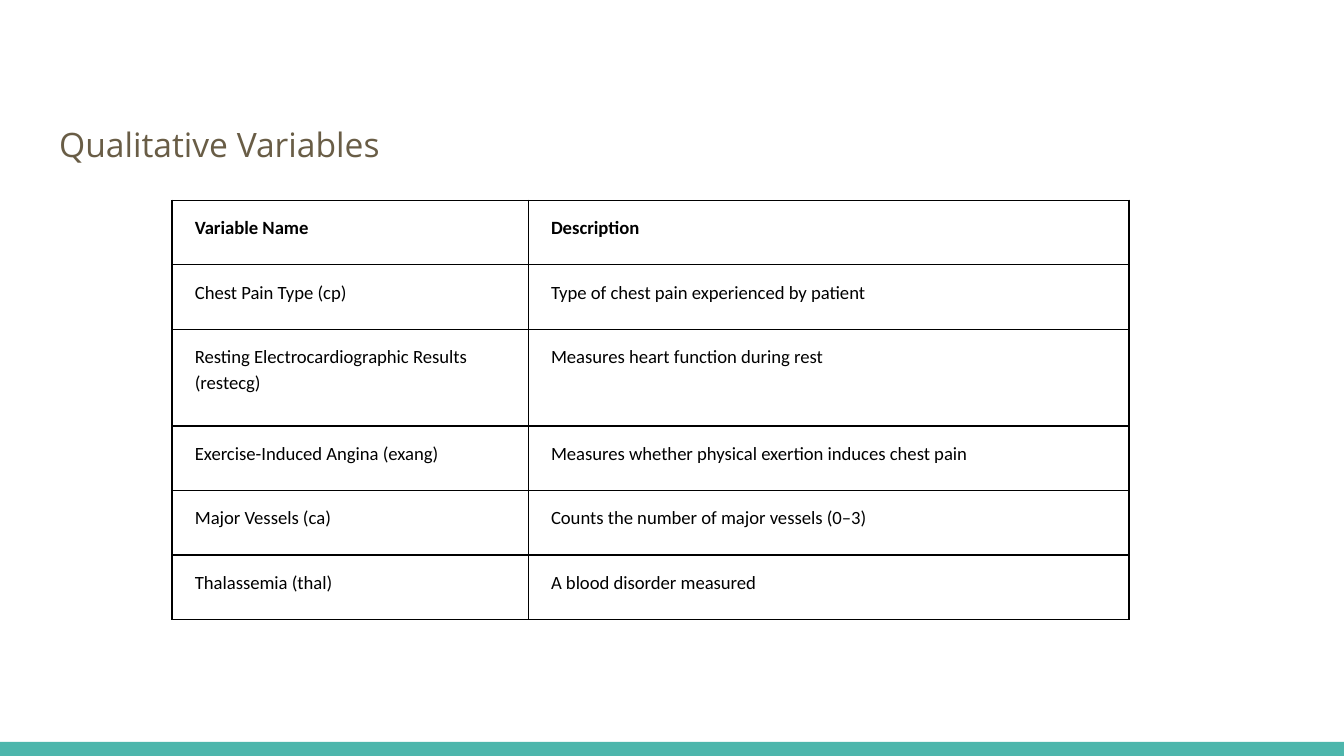
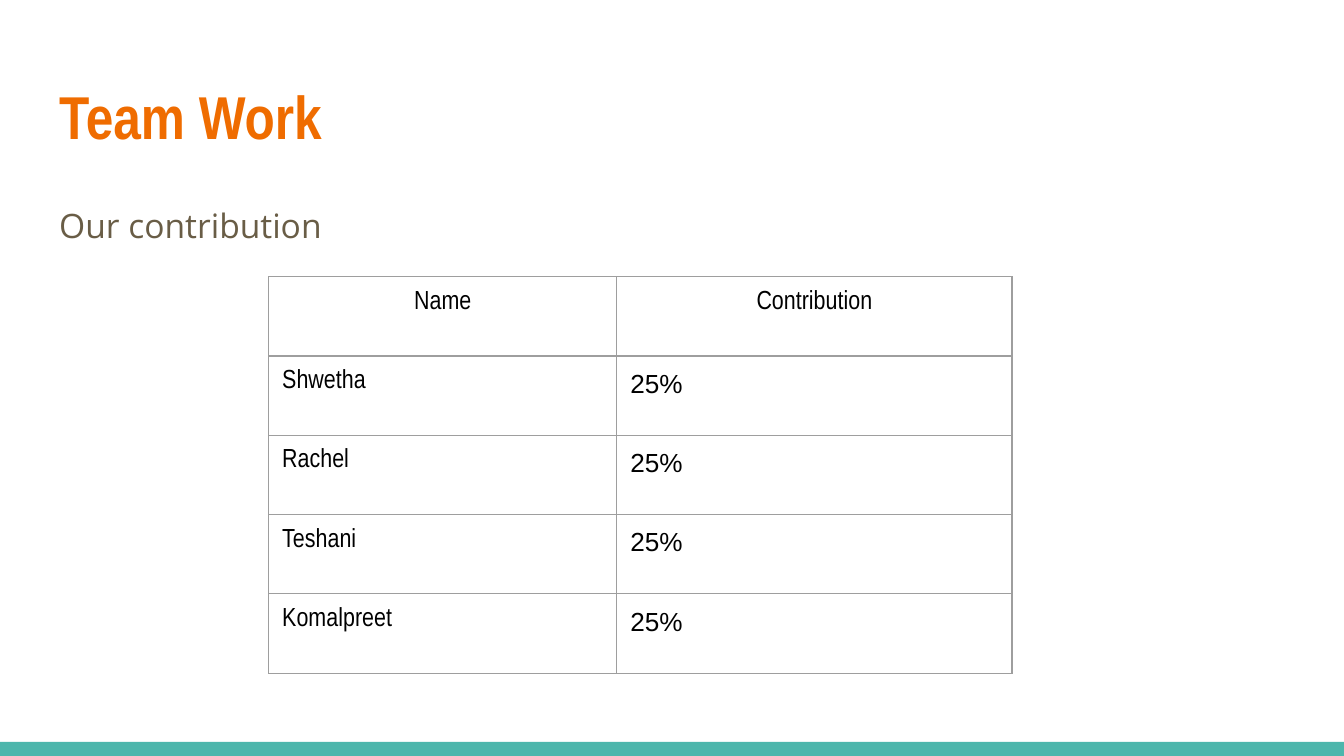
"""Build two slides with variable and contribution tables."""
from dataclasses import dataclass

from lxml.etree import SubElement
from pptx import Presentation
from pptx.dml.color import RGBColor
from pptx.enum.shapes import MSO_SHAPE
from pptx.enum.text import MSO_ANCHOR, MSO_AUTO_SIZE, PP_ALIGN
from pptx.oxml.ns import qn
from pptx.util import Inches, Pt

TEAL, ORANGE, BROWN = "4DB6AC", "EF6C00", "695D46"
BLACK, GREY = "000000", "9E9E9E"
LEFT, WIDTH, INSET = 0.34, 9.32, 0.1


@dataclass
class Grid:
    left: float
    top: float
    columns: list[float]
    row_heights: list[float]
    rows: list[tuple[str, str]]
    border: str
    fonts: tuple[str, str]
    size: float
    header_bold: bool = False
    header_align: PP_ALIGN = PP_ALIGN.LEFT
    spacing: float = 1.0
    indent: float = 0


VARIABLES = Grid(
    1.28, 1.49, [2.65, 4.47], [0.48, 0.48, 0.72, 0.48, 0.48, 0.48],
    [
        ("Variable Name", "Description"),
        ("Chest Pain Type (cp)", "Type of chest pain experienced by patient"),
        ("Resting Electrocardiographic Results (restecg)", "Measures heart function during rest"),
        ("Exercise-Induced Angina (exang)", "Measures whether physical exertion induces chest pain"),
        ("Major Vessels (ca)", "Counts the number of major vessels (0–3)"),
        ("Thalassemia (thal)", "A blood disorder measured"),
    ],
    BLACK, ("Calibri", "Calibri"), 10, header_bold=True, spacing=1.15, indent=0.07,
)
MEMBERS = ["Shwetha", "Rachel", "Teshani", "Komalpreet"]
CONTRIBUTIONS = Grid(
    2, 2.06, [2.59, 2.94], [0.59] * (len(MEMBERS) + 1),
    [("Name", "Contribution")] + [(member, "25%") for member in MEMBERS],
    GREY, ("Arial Narrow", "Arial"), 14, header_align=PP_ALIGN.CENTER,
)


def color(value: str) -> RGBColor:
    """Turn a hex string into a colour."""
    return RGBColor.from_string(value)


def write(frame, text: str, *, font: str, size: float, ink: str = BLACK, bold: bool = False,
          align: PP_ALIGN = PP_ALIGN.LEFT, spacing: float = 1.0, after: float = 0,
          indent: float = 0) -> None:
    """Write one formatted paragraph without a bullet."""
    paragraph = frame.paragraphs[0]
    properties = paragraph._p.get_or_add_pPr()
    properties.set("marL", str(Inches(indent)))
    properties.set("indent", "0")
    SubElement(properties, qn("a:buNone"))
    paragraph.alignment = align
    paragraph.line_spacing = spacing
    paragraph.space_before = Pt(0)
    paragraph.space_after = Pt(after)
    run = paragraph.add_run()
    run.text = text
    run.font.name = font
    run.font.size = Pt(size)
    run.font.bold = bold
    run.font.color.rgb = color(ink)


def fill_placeholder(holder, text: str, top: float, height: float, **style) -> None:
    """Place a template placeholder and write its text."""
    holder.left, holder.top = Inches(LEFT), Inches(top)
    holder.width, holder.height = Inches(WIDTH), Inches(height)
    frame = holder.text_frame
    frame.word_wrap = True
    frame.auto_size = MSO_AUTO_SIZE.NONE
    frame.vertical_anchor = MSO_ANCHOR.TOP
    frame.margin_left = frame.margin_right = Inches(INSET)
    frame.margin_top = frame.margin_bottom = Inches(INSET)
    write(frame, text, **style)


def draw_borders(cell, ink: str) -> None:
    """Line all four sides of a table cell."""
    properties = cell._tc.get_or_add_tcPr()
    for side in ("lnL", "lnR", "lnT", "lnB"):
        line = SubElement(properties, qn(f"a:{side}"), w=str(Pt(0.75)))
        fill = SubElement(line, qn("a:solidFill"))
        SubElement(fill, qn("a:srgbClr"), val=ink)


def draw_table(slide, grid: Grid) -> None:
    """Draw a bordered table with unfilled cells."""
    table = slide.shapes.add_table(
        len(grid.rows), len(grid.columns), Inches(grid.left), Inches(grid.top),
        Inches(sum(grid.columns)), Inches(sum(grid.row_heights))).table
    table.first_row = table.horz_banding = False
    for column, width in zip(table.columns, grid.columns):
        column.width = Inches(width)
    for row_index, texts in enumerate(grid.rows):
        table.rows[row_index].height = Inches(grid.row_heights[row_index])
        header = row_index == 0
        for column_index, text in enumerate(texts):
            cell = table.cell(row_index, column_index)
            cell.margin_left = cell.margin_right = Inches(INSET)
            cell.margin_top = cell.margin_bottom = Inches(INSET)
            draw_borders(cell, grid.border)
            cell.fill.background()
            write(cell.text_frame, text, size=grid.size,
                  font=grid.fonts[0 if header else column_index],
                  bold=header and grid.header_bold,
                  align=grid.header_align if header else PP_ALIGN.LEFT,
                  spacing=grid.spacing, indent=grid.indent)


def add_slide(deck, subtitle: str, subtitle_top: float, grid: Grid, title: str = "") -> None:
    """Add a slide with the footer band, headings and a table."""
    slide = deck.slides.add_slide(deck.slide_layouts[1])
    band = slide.shapes.add_shape(
        MSO_SHAPE.RECTANGLE, Inches(0), Inches(5.52), deck.slide_width, Inches(0.11))
    band.shadow.inherit = False
    band.fill.solid()
    band.fill.fore_color.rgb = color(TEAL)
    band.line.fill.background()
    heading = slide.shapes.title
    if title:
        fill_placeholder(heading, title, 0.49, 0.77,
                         font="Arial Narrow", size=32.4, ink=ORANGE, bold=True)
    else:
        heading._element.getparent().remove(heading._element)
    fill_placeholder(slide.placeholders[1], subtitle, subtitle_top, 3.61,
                     font="Open Sans", size=18, ink=BROWN, spacing=1.15, after=12)
    draw_table(slide, grid)


def main() -> None:
    """Build and save the deck."""
    deck = Presentation()
    deck.slide_width = Inches(10)
    deck.slide_height = Inches(10) * 9 // 16
    add_slide(deck, "Qualitative Variables", 0.78, VARIABLES)
    add_slide(deck, "Our contribution", 1.38, CONTRIBUTIONS, title="Team Work")
    deck.save("out.pptx")


if __name__ == "__main__":
    main()
